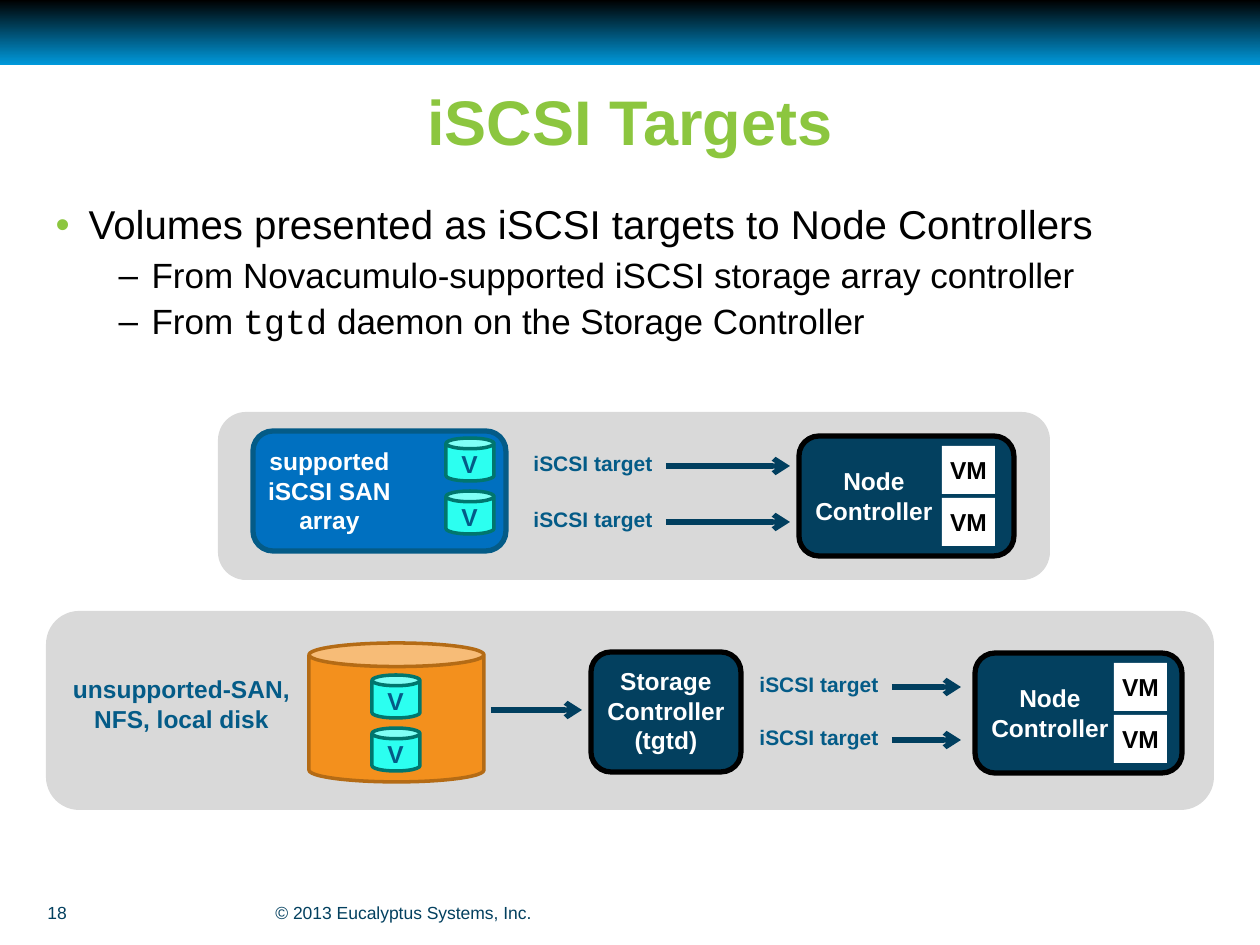
"""Build the iSCSI targets slide with two storage paths to Node Controllers."""
import lxml.etree
import pptx
import pptx.dml.color
import pptx.enum.shapes
import pptx.enum.text
import pptx.oxml.ns
import pptx.util

PRESET = pptx.enum.shapes.MSO_SHAPE
ALIGN = pptx.enum.text.PP_ALIGN
ANCHOR = pptx.enum.text.MSO_ANCHOR
NAVY, BLUE, GREEN, GREY = "03405F", "045B87", "8CC63F", "D9D9D9"
BLACK, WHITE = "000000", "FFFFFF"


def emu(px):
    return pptx.util.Emu(round(px * 914400 / 126))


def rgb(value):
    return pptx.dml.color.RGBColor.from_string(value)


def add_xml(parent, tag, **attributes):
    return lxml.etree.SubElement(parent, pptx.oxml.ns.qn(tag), **attributes)


class TargetSlide:
    def __init__(self, deck):
        self.slide = deck.slides.add_slide(deck.slide_layouts[1])
        self.shapes = self.slide.shapes

    def start_group(self):
        self.shapes = self.slide.shapes.add_group_shape().shapes

    def format_runs(self, paragraph, size, color, bold=False, font="Arial"):
        for run in paragraph.runs:
            run.font.size = pptx.util.Pt(size)
            run.font.bold = bold
            run.font.name = font
            run.font.color.rgb = rgb(color)

    def place(self, holder, left, top, width, height):
        holder.left, holder.top = emu(left), emu(top)
        holder.width, holder.height = emu(width), emu(height)
        holder.text_frame.auto_size = pptx.enum.text.MSO_AUTO_SIZE.NONE
        holder.text_frame.vertical_anchor = ANCHOR.TOP
        return holder.text_frame

    def title(self, text):
        frame = self.place(self.slide.shapes.title, 43, 83, 1174, 151)
        frame.text = text
        heading = frame.paragraphs[0]
        heading.alignment = ALIGN.CENTER
        heading.line_spacing = 0.93
        self.format_runs(heading, 36, GREEN, bold=True)

    def bullets(self, items):
        frame = self.place(self.slide.placeholders[1], 43, 197, 1174, 190)
        frame.text = "\n".join("".join(parts) for _, parts in items)
        for paragraph, (level, parts) in zip(frame.paragraphs, items):
            paragraph.text = ""
            for part in parts:
                paragraph.add_run().text = part
            paragraph.level = level
            paragraph.line_spacing = 0.95
            paragraph.space_before = pptx.util.Pt(4 if level else 0)
            properties = paragraph._p.get_or_add_pPr()
            properties.set("marL", str(emu(96 if level else 33)))
            properties.set("indent", str(emu(-33)))
            if level == 0:
                bullet_color = add_xml(properties, "a:buClr")
                add_xml(bullet_color, "a:srgbClr", val=GREEN)
            self.format_runs(paragraph, 20 if level else 23, BLACK)
            for run in paragraph.runs:
                if run.text == "tgtd":
                    run.font.name = "Courier New"

    def box(self, preset, left, top, width, height, fill, line=None, weight=3):
        shape = self.shapes.add_shape(
            preset, emu(left), emu(top), emu(width), emu(height))
        shape.shadow.inherit = False
        shape.fill.solid()
        shape.fill.fore_color.rgb = rgb(fill)
        if line:
            shape.line.color.rgb = rgb(line)
            shape.line.width = pptx.util.Pt(weight)
        else:
            shape.line.fill.background()
        return shape

    def header(self, height):
        bar = self.box(PRESET.RECTANGLE, 0, 0, 1260, height, BLACK)
        bar.fill.gradient()
        bar.fill.gradient_angle = 270
        for stop, color in zip(bar.fill.gradient_stops, (BLACK, "0099DB")):
            stop.color.rgb = rgb(color)

    def label(self, text, left, top, width, height, color=WHITE, size=14,
              bold=True, align=ALIGN.CENTER, anchor=ANCHOR.TOP, wrap=True):
        frame = self.shapes.add_textbox(
            emu(left), emu(top), emu(width), emu(height)).text_frame
        frame.word_wrap = wrap
        frame.vertical_anchor = anchor
        frame.text = text
        for paragraph in frame.paragraphs:
            paragraph.alignment = align
            self.format_runs(paragraph, size, color, bold)

    def footer(self, text, left, top, width, height):
        self.label(text, left, top, width, height, NAVY, 10, bold=False,
                   align=ALIGN.LEFT, anchor=ANCHOR.MIDDLE)

    def arrow(self, start, end, y):
        connector = self.shapes.add_connector(
            pptx.enum.shapes.MSO_CONNECTOR.STRAIGHT,
            emu(start), emu(y), emu(end), emu(y))
        connector.line.color.rgb = rgb("013F5F")
        connector.line.width = pptx.util.Pt(3)
        properties = connector.element.spPr
        outline = properties.find(pptx.oxml.ns.qn("a:ln"))
        add_xml(outline, "a:tailEnd", type="arrow")
        add_xml(properties, "a:effectLst")

    def target(self, left, top, arrow_end):
        self.label("iSCSI target", left, top, 148, 38, BLUE, 12)
        self.arrow(left + 147, arrow_end, top + 22)

    def volume(self, left, top):
        self.box(PRESET.CAN, left, top, 48, 43, "2CFFF0", "00766E", 2)
        self.label("V", left, top + 5, 47, 43, BLUE)

    def node(self, left, top, width, machine_left):
        self.box(PRESET.ROUNDED_RECTANGLE, left, top, width, 120, NAVY, BLACK)
        self.label("Node Controller", left, top + 24, 150, 72)
        for machine_top in (top + 10, top + 62):
            self.box(PRESET.RECTANGLE, machine_left, machine_top, 53, 48, WHITE)
            self.label("VM", machine_left - 5, machine_top + 3, 63, 43,
                       BLACK, wrap=False)

    def supported_path(self):
        self.start_group()
        self.box(PRESET.ROUNDED_RECTANGLE, 218, 412, 832, 168, GREY)
        self.node(799, 436, 215, 942)
        self.box(PRESET.ROUNDED_RECTANGLE, 253, 431, 253, 120, "0070C0", BLUE)
        self.label("supported iSCSI SAN array", 242, 440, 175, 102)
        for volume_top, target_top in ((438, 444), (491, 500)):
            self.volume(446, volume_top)
            self.target(519, target_top, 790)

    def unsupported_path(self):
        self.start_group()
        self.box(PRESET.ROUNDED_RECTANGLE, 46, 611, 1168, 199, GREY)
        self.box(PRESET.ROUNDED_RECTANGLE, 591, 652, 150, 120, NAVY, BLACK)
        self.label("Storage Controller\n(tgtd)", 591, 660, 150, 102)
        self.node(975, 653, 207, 1114)
        self.label("unsupported-SAN, NFS, local disk", 55, 668, 253, 72, BLUE)
        self.arrow(491, 582, 710)
        disk = self.box(PRESET.CAN, 309, 643, 175, 139, "F3901D", "B46B15", 2)
        disk.adjustments[0] = 0.17
        for volume_top, target_top in ((675, 665), (728, 718)):
            self.volume(372, volume_top)
            self.target(745, target_top, 961)


def main():
    deck = pptx.Presentation()
    deck.slide_width, deck.slide_height = emu(1260), emu(945)
    page = TargetSlide(deck)
    page.header(65)
    page.footer("© 2013 Eucalyptus Systems, Inc.", 263, 895, 367, 34)
    page.footer("18", 35, 891, 63, 43)
    page.title("iSCSI Targets")
    page.bullets([
        (0, ["Volumes presented as iSCSI targets to Node Controllers"]),
        (1, ["From Novacumulo-supported iSCSI storage array controller"]),
        (1, ["From ", "tgtd", " daemon on the Storage Controller"]),
    ])
    page.supported_path()
    page.unsupported_path()
    deck.save("out.pptx")


if __name__ == "__main__":
    main()
